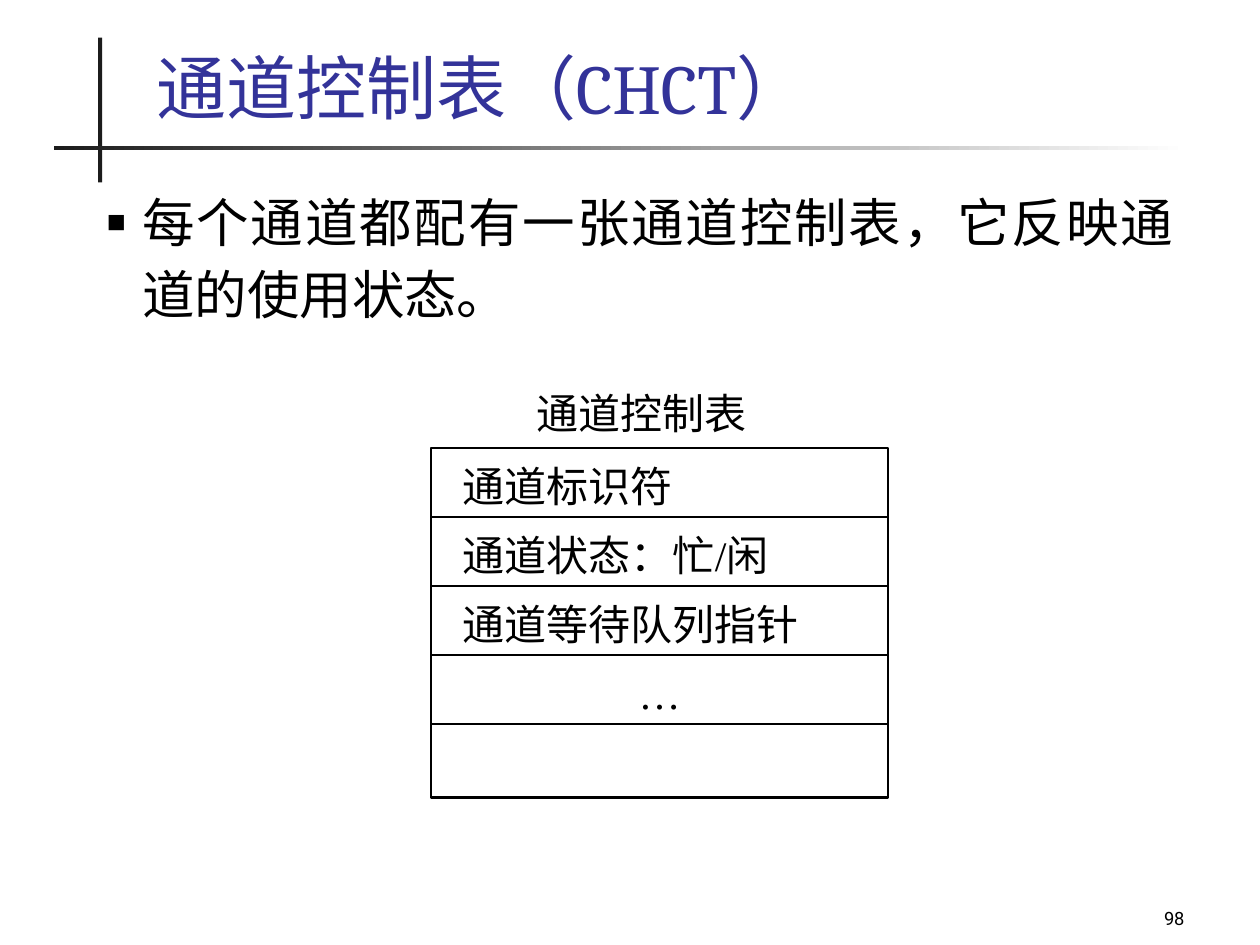
import pptx
import pptx.util
import pptx.dml.color
import pptx.enum.shapes
import pptx.enum.text
from lxml import etree
from pptx.util import Cm, Pt

HUES = {"ink": "000000", "bar": "1C1C1C", "title": "333399", "paper": "FFFFFF"}
ALIGN = pptx.enum.text.PP_ALIGN
ANCHOR = pptx.enum.text.MSO_ANCHOR
RECT = pptx.enum.shapes.MSO_SHAPE.RECTANGLE
LINE = pptx.enum.shapes.MSO_CONNECTOR.STRAIGHT


def hue(name):
    return pptx.dml.color.RGBColor.from_string(HUES[name])


def put(item, values):
    for name, value in values.items():
        setattr(item, name, value)


def move(shape, box):
    put(shape, dict(zip(("left", "top", "width", "height"), map(Cm, box))))


def write(para, text, size, face, tint="ink", **form):
    """Add one run to a paragraph and set the paragraph's format."""
    put(para, form)
    run = para.add_run()
    run.text = text
    put(run.font, {"size": Pt(size), "name": face})
    run.font.color.rgb = hue(tint)


def setup(frame, anchor, inset=None):
    put(frame, {"word_wrap": True, "vertical_anchor": anchor,
                "auto_size": pptx.enum.text.MSO_AUTO_SIZE.NONE})
    if inset:
        sides = ("margin_left", "margin_top", "margin_right", "margin_bottom")
        put(frame, dict(zip(sides, map(Cm, inset))))


def bullet(para, mark, indent):
    props = para._p.get_or_add_pPr()
    props.set("marL", str(Cm(indent)))
    props.set("indent", str(-Cm(indent)))
    space = pptx.oxml.ns.qn
    tint = etree.SubElement(props, space("a:buClr"))
    etree.SubElement(tint, space("a:srgbClr"), val=HUES["ink"])
    etree.SubElement(props, space("a:buSzPct"), val="60000")
    etree.SubElement(props, space("a:buChar"), char=mark)


def block(slide, box):
    shape = slide.shapes.add_shape(RECT, *map(Cm, box))
    shape.shadow.inherit = False
    shape.line.fill.background()
    return shape


def cross(slide, box):
    """Upright bar and fading level bar that frame the title."""
    left, top, width, height = box
    post = block(slide, (left + 0.89, top, 0.08, height))
    post.fill.solid()
    post.fill.fore_color.rgb = hue("bar")
    beam = block(slide, (left, top + 2.18, width, 0.08))
    beam.fill.gradient()
    beam.fill.gradient_angle = 0
    for stop, name in zip(beam.fill.gradient_stops, ("bar", "paper")):
        stop.color.rgb = hue(name)


def head(slide, box, text):
    title = slide.shapes.title
    move(title, box)
    setup(title.text_frame, ANCHOR.BOTTOM)
    write(title.text_frame.paragraphs[0], text, 40, "Cambria", "title",
          alignment=ALIGN.LEFT)


def body(slide, box, text):
    hold = slide.placeholders[1]
    move(hold, box)
    setup(hold.text_frame, ANCHOR.TOP)
    para = hold.text_frame.paragraphs[0]
    bullet(para, "■", 0.71)
    write(para, text, 30, "Cambria", alignment=ALIGN.JUSTIFY,
          line_spacing=1.14, space_before=Pt(0))


def label(slide, box, text, size, face, align, anchor, inset=None):
    frame = slide.shapes.add_textbox(*map(Cm, box)).text_frame
    setup(frame, anchor, inset)
    write(frame.paragraphs[0], text, size, face, alignment=align)


def rule(slide, left, right, top):
    line = slide.shapes.add_connector(LINE, Cm(left), Cm(top), Cm(right), Cm(top))
    line.line.width = Pt(1.25)
    line.line.color.rgb = hue("ink")
    etree.SubElement(line._element.spPr, pptx.oxml.ns.qn("a:effectLst"))


def record(slide, box, name, rows):
    """Named record box: text rows at an even pitch, a rule under each."""
    left, top, width, height = box
    pitch = 1.39
    label(slide, (left + 2.13, top - 1.22, 4.83, 0.84), name, 24,
          "Times New Roman", ALIGN.LEFT, ANCHOR.TOP, (0, 0, 0, 0))
    frame = block(slide, box)
    frame.fill.solid()
    frame.fill.fore_color.rgb = hue("paper")
    frame.line.color.rgb = hue("ink")
    frame.line.width = Pt(1.25)
    text = frame.text_frame
    setup(text, ANCHOR.TOP, (0.64, 0.28, 0.64, 0))
    lead = Pt(28)
    for i, row in enumerate(rows):
        para = text.add_paragraph() if i else text.paragraphs[0]
        align = ALIGN.CENTER if row == "…" else ALIGN.LEFT
        write(para, row, 24, "Times New Roman", alignment=align,
              line_spacing=lead, space_before=Cm(pitch) - lead if i else Pt(0))
        rule(slide, left, left + width, top + pitch * (i + 1))


def main():
    deck = pptx.Presentation()
    put(deck, {"slide_width": Cm(25.4), "slide_height": Cm(19.05)})
    slide = deck.slides.add_slide(deck.slide_layouts[1])
    cross(slide, (1.09, 0.76, 22.86, 2.92))
    head(slide, (2.9, 0.64, 21.82, 2.08), "通道控制表（CHCT）")
    body(slide, (1.9, 3.53, 22.02, 3.91),
         "每个通道都配有一张通道控制表，它反映通道的使用状态。")
    record(slide, (8.69, 9.04, 9.22, 7.04), "通道控制表",
           ("通道标识符", "通道状态：忙/闲", "通道等待队列指针", "…"))
    label(slide, (18.85, 17.58, 5.28, 1.27), "98", 10.5, "Roboto",
          ALIGN.RIGHT, ANCHOR.BOTTOM)
    deck.save("out.pptx")


if __name__ == "__main__":
    main()
